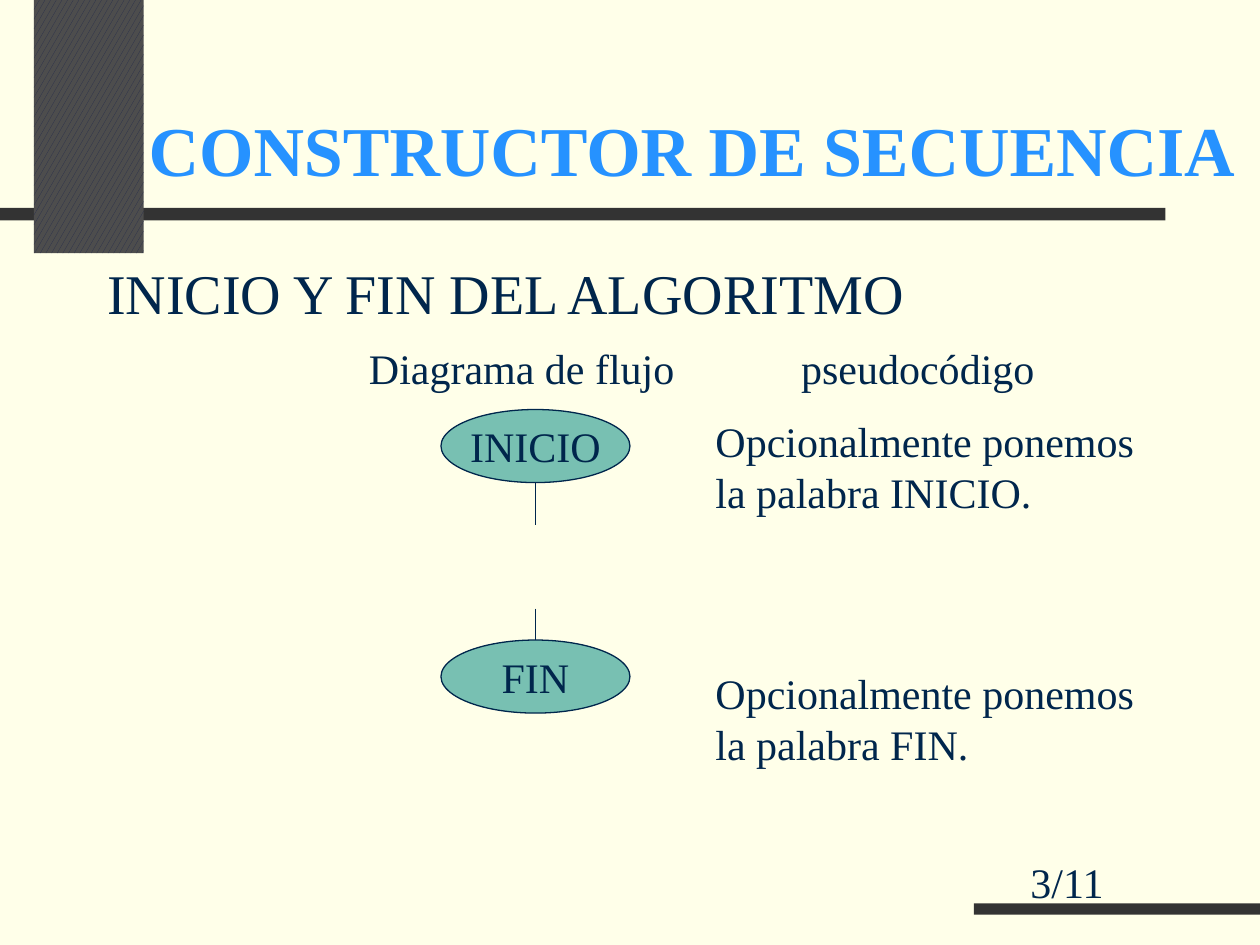
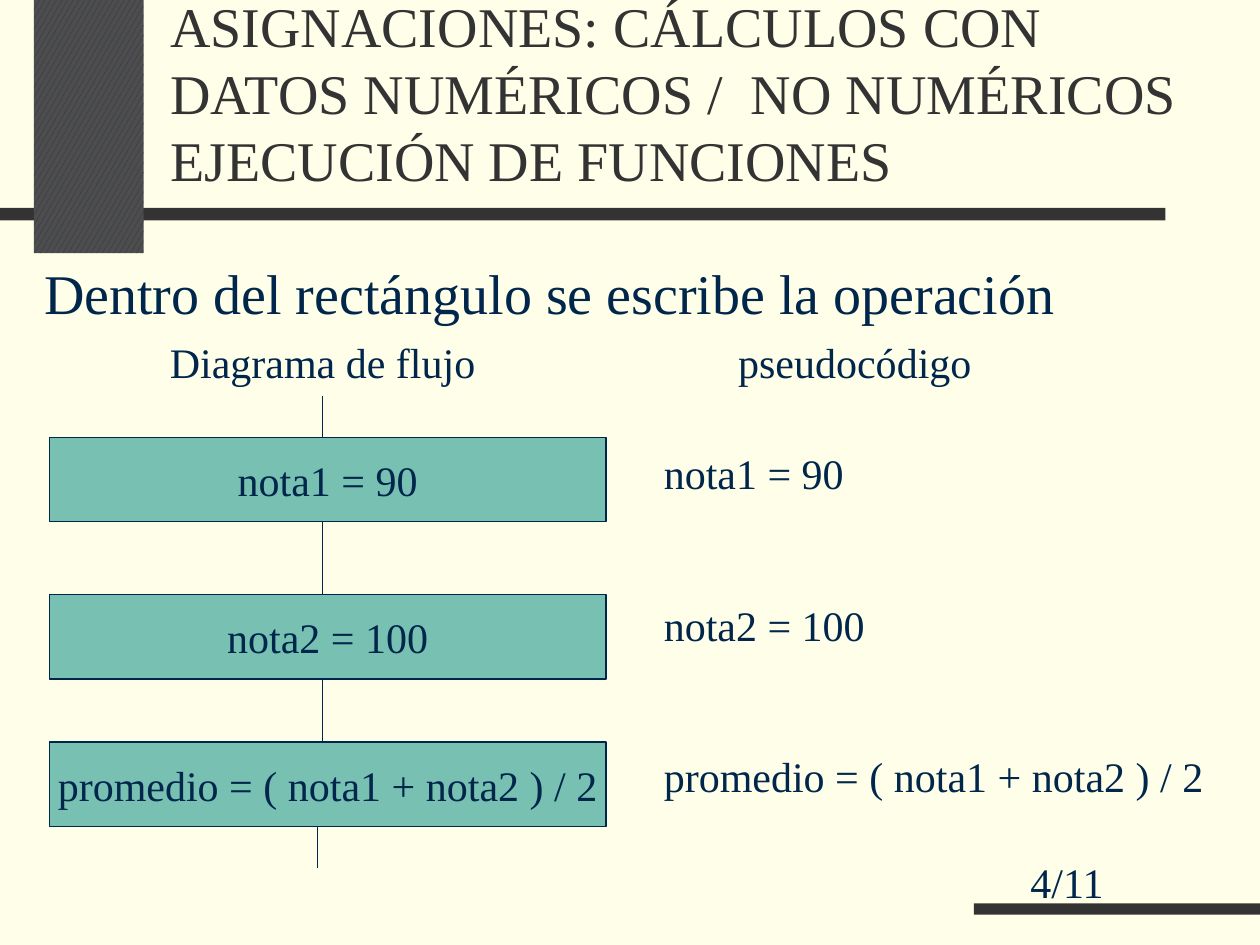
from dataclasses import dataclass

from lxml import etree
from pptx import Presentation
from pptx import util as u
from pptx.dml.color import RGBColor
from pptx.enum import dml, shapes, text
from pptx.oxml import ns

PX = u.Inches(1) // 100  # one px is a hundredth of an inch


@dataclass(frozen=True)
class Theme:
    font: str = "Times New Roman"
    background: str = "FFFFE9"
    band: str = "333333"
    pattern_fore: str = "262D4C"
    pattern_back: str = "4D4D4D"
    ink: str = "00264C"
    accent: str = "2692FF"
    node: str = "78C0B2"
    title_size: int = 40
    lead_size: int = 32
    text_size: int = 24
    line_width: float = 0.75


THEME = Theme()
BANDS = [(0, 165, 925, 10), (27, 0, 87, 201), (773, 717, 227, 9)]
PATTERNED_BAND = 1


# Shared helpers
def emu(*lengths):
    return [length * PX for length in lengths]


def colour(value):
    return RGBColor.from_string(value)


def write(shape, lines, size=THEME.text_size, ink=THEME.ink, bold=False,
          align=text.PP_ALIGN.LEFT, wrap=True, gap=0):
    """Fill a shape with paragraphs, with an optional gap in points between them."""
    frame = shape.text_frame
    frame.text = "\n".join(lines)
    frame.word_wrap = wrap
    frame.auto_size = text.MSO_AUTO_SIZE.NONE
    for number, paragraph in enumerate(frame.paragraphs):
        paragraph.alignment = align
        if number and gap:
            paragraph.space_before = u.Pt(gap)
        font = paragraph.font
        font.name, font.size, font.bold = THEME.font, u.Pt(size), bold
        font.color.rgb = colour(ink)


def place(shape, box):
    shape.left, shape.top, shape.width, shape.height = emu(*box)


# Kinds of element
def add_text(slide, box, lines, **style):
    shape = slide.shapes.add_textbox(*emu(*box))
    write(shape, lines, **style)
    return shape


def add_headings(slide, box, tab):
    """Column headings on one line, the second at a tab stop."""
    shape = add_text(slide, box, ["Diagrama de flujo\tpseudocódigo"])
    properties = shape.text_frame.paragraphs[0]._p.get_or_add_pPr()
    stops = etree.Element(ns.qn("a:tabLst"))
    etree.SubElement(stops, ns.qn("a:tab"), pos=str(tab * PX), algn="l")
    properties.insert(0, stops)


def add_node(slide, kind, box, label):
    shape = slide.shapes.add_shape(kind, *emu(*box))
    shape.shadow.inherit = False
    shape.fill.solid()
    shape.fill.fore_color.rgb = colour(THEME.node)
    shape.line.color.rgb = colour(THEME.ink)
    shape.line.width = u.Pt(THEME.line_width)
    shape.text_frame.vertical_anchor = text.MSO_ANCHOR.MIDDLE
    write(shape, [label], align=text.PP_ALIGN.CENTER, wrap=False)


def add_flow_line(slide, x, top, bottom):
    line = slide.shapes.add_connector(
        shapes.MSO_CONNECTOR.STRAIGHT, *emu(x, top, x, bottom))
    line.line.color.rgb = colour(THEME.ink)
    line.line.width = u.Pt(THEME.line_width)
    etree.SubElement(line.element.spPr, ns.qn("a:effectLst"))


def add_title(slide, box, title, **style):
    place(slide.shapes.title, box)
    slide.shapes.title.text_frame.vertical_anchor = text.MSO_ANCHOR.BOTTOM
    write(slide.shapes.title, [title], **style)


def add_lead(slide, box, sentence):
    body = slide.placeholders[1]
    place(body, box)
    write(body, [sentence], size=THEME.lead_size)
    properties = body.text_frame.paragraphs[0]._p.get_or_add_pPr()
    properties.set("marL", "0")
    properties.set("indent", "0")
    etree.SubElement(properties, ns.qn("a:buNone"))


def add_page_number(slide, label):
    add_text(slide, (808, 675, 142, 42), [label])


# Background and bands, kept on the slide master
def decorate_master(presentation, slide):
    master = presentation.slide_master
    master.background.fill.solid()
    master.background.fill.fore_color.rgb = colour(THEME.background)
    for number, box in enumerate(BANDS):
        band = slide.shapes.add_shape(shapes.MSO_SHAPE.RECTANGLE, *emu(*box))
        band.shadow.inherit = False
        band.line.fill.background()
        if number == PATTERNED_BAND:
            band.fill.patterned()
            band.fill.pattern = dml.MSO_PATTERN.LARGE_CONFETTI
            band.fill.fore_color.rgb = colour(THEME.pattern_fore)
            band.fill.back_color.rgb = colour(THEME.pattern_back)
        else:
            band.fill.solid()
            band.fill.fore_color.rgb = colour(THEME.band)
        band.element.nvSpPr.cNvPr.id = 20 + number
        master.shapes.element.insert(2 + number, band.element)


# Slides
def build_start_and_end(slide):
    add_title(slide, (108, 31, 892, 125), "CONSTRUCTOR DE SECUENCIA",
              size=THEME.title_size, ink=THEME.accent, bold=True)
    add_lead(slide, (75, 200, 850, 458), "INICIO Y FIN DEL ALGORITMO")
    add_page_number(slide, "3/11")
    add_headings(slide, (283, 267, 575, 51), tab=343)
    for label, node_top, note_top in (("INICIO", 325, 325), ("FIN", 508, 525)):
        add_node(slide, shapes.MSO_SHAPE.OVAL, (350, node_top, 150, 58), label)
        add_text(slide, (558, note_top, 355, 91),
                 ["Opcionalmente ponemos", f"la palabra {label}."])
    add_flow_line(slide, 425, 383, 417)
    add_flow_line(slide, 425, 483, 508)


def build_assignments(slide):
    add_title(slide, (125, 33, 850, 125),
              "ASIGNACIONES: CÁLCULOS CON DATOS NUMÉRICOS /  NO NUMÉRICOS "
              "EJECUCIÓN DE FUNCIONES", size=THEME.lead_size, ink=THEME.band)
    add_lead(slide, (25, 200, 900, 458),
             "Dentro del rectángulo se escribe la operación")
    add_page_number(slide, "4/11")
    add_headings(slide, (125, 262, 728, 50), tab=451)

    operations = ["nota1 = 90", "nota2 = 100", "promedio = ( nota1 + nota2 ) / 2"]
    tops, height = [347, 472, 589], 67
    line_top = 314
    for operation, top in zip(operations, tops):
        add_flow_line(slide, 256, line_top, top)
        add_node(slide, shapes.MSO_SHAPE.RECTANGLE, (39, top, 442, height), operation)
        line_top = top + height
    add_flow_line(slide, 252, line_top, line_top + 33)
    add_text(slide, (517, 350, 467, 290), operations, gap=58)


def main():
    presentation = Presentation()
    presentation.slide_width, presentation.slide_height = emu(1000, 750)
    layout = presentation.slide_layouts[1]
    first, second = (presentation.slides.add_slide(layout) for _ in range(2))
    decorate_master(presentation, first)
    build_start_and_end(first)
    build_assignments(second)
    presentation.save("out.pptx")


if __name__ == "__main__":
    main()
